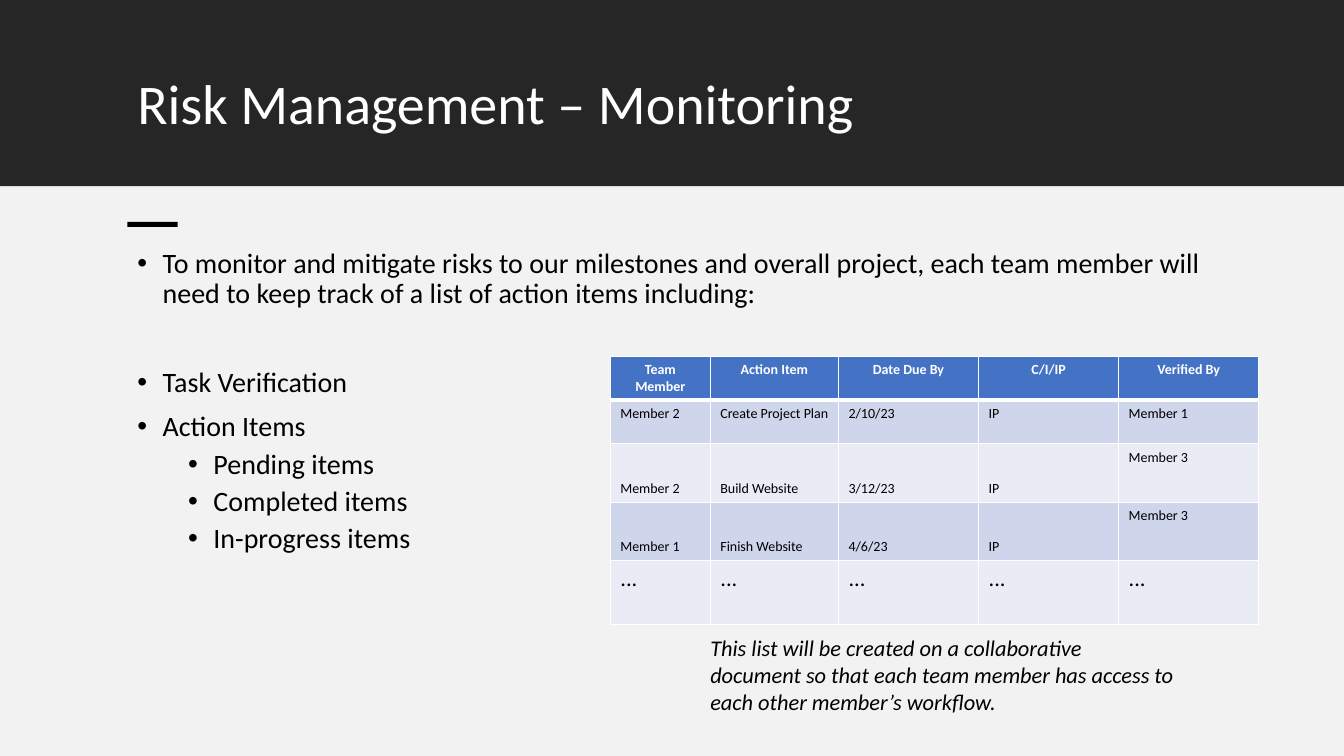
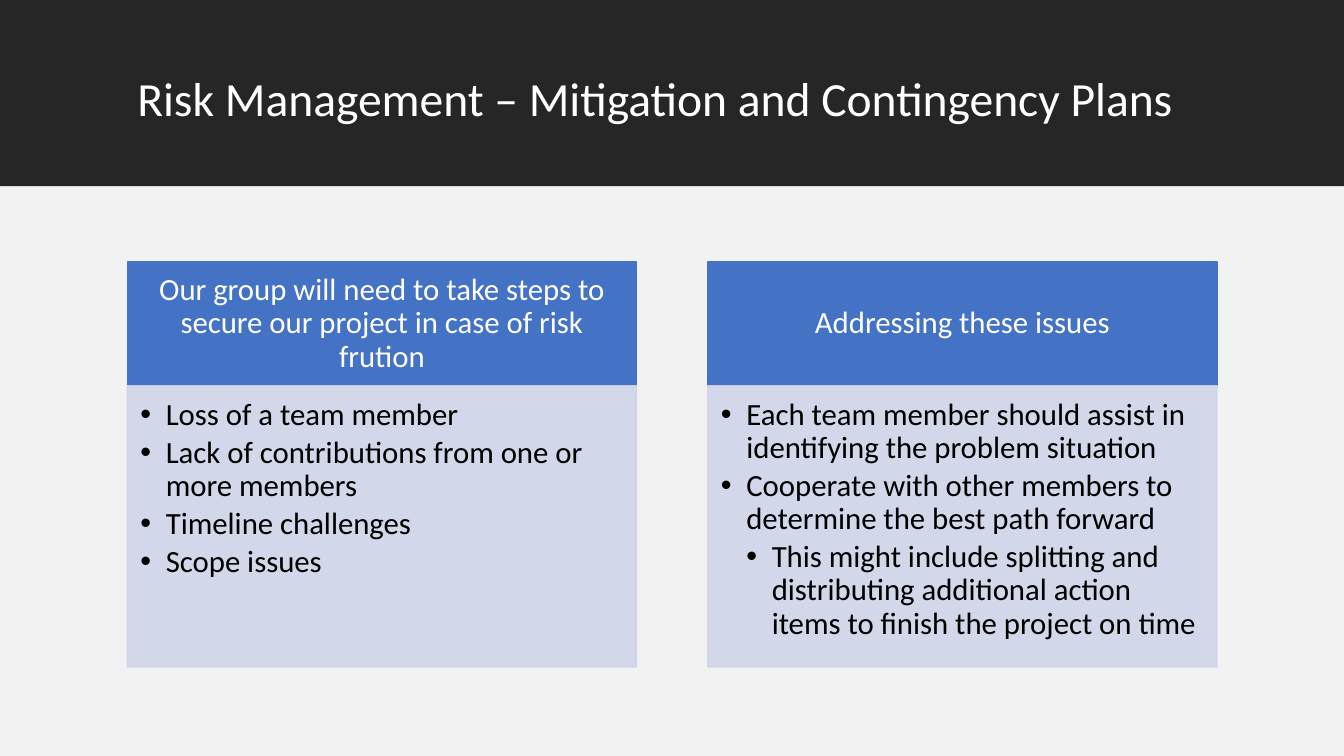
from lxml import etree
from pptx import Presentation
from pptx import util as u
from pptx.dml import color
from pptx.enum import shapes, text
from pptx.oxml import ns

FONT = "Calibri"
BLACK, WHITE = "000000", "FFFFFF"
BAND, PANEL = "262626", "F2F2F2"
BLUE, PALE, PALER = "4472C4", "CFD5EA", "E9EBF5"
WIDTH, HEIGHT, BAND_HEIGHT = 33.87, 19.05, 4.7
LEFT, CONTENT_WIDTH = 3.21, 27.46
INDENT = 0.64
LEFT_ALIGN, CENTER = text.PP_ALIGN.LEFT, text.PP_ALIGN.CENTER
TOP, MIDDLE, BOTTOM = (text.MSO_ANCHOR.TOP, text.MSO_ANCHOR.MIDDLE,
                       text.MSO_ANCHOR.BOTTOM)


def rgb(code):
    """Return the colour for a hex string."""
    return color.RGBColor.from_string(code)


def sub(parent, tag, **attributes):
    """Append a DrawingML element and return it."""
    return etree.SubElement(parent, ns.qn(tag), attributes)


def add_block(slide, box, fill, outlined=False, opacity=100):
    """Draw a flat rectangle, with an outline of its own colour if asked."""
    block = slide.shapes.add_shape(shapes.MSO_SHAPE.RECTANGLE, *map(u.Cm, box))
    block.shadow.inherit = False
    block.fill.solid()
    block.fill.fore_color.rgb = rgb(fill)
    if outlined:
        block.line.color.rgb = rgb(fill)
        block.line.width = u.Pt(1)
    else:
        block.line.fill.background()
    if opacity < 100:
        for tint in block._element.spPr.iter(ns.qn("a:srgbClr")):
            sub(tint, "a:alpha", val=str(opacity * 1000))
    return block


def set_frame(frame, insets=(0.25, 0.13, 0.25, 0.13), anchor=TOP):
    """Set wrapping, insets (left, top, right, bottom) and anchor."""
    frame.word_wrap = True
    frame.vertical_anchor = anchor
    (frame.margin_left, frame.margin_top,
     frame.margin_right, frame.margin_bottom) = map(u.Cm, insets)
    return frame


def add_text_area(slide, box):
    """Add a wrapping text box and return its frame."""
    return set_frame(slide.shapes.add_textbox(*map(u.Cm, box)).text_frame)


def add_line(frame, words, size, ink=BLACK, align=LEFT_ALIGN, spacing=0.9,
             before=0, after=0, bullet_at=None, bold=False, italic=False):
    """Add one paragraph, bulleted when bullet_at gives its text indent."""
    line = frame.paragraphs[0]
    if line.runs:
        line = frame.add_paragraph()
    line.alignment = align
    line.line_spacing = spacing
    line.space_before, line.space_after = u.Pt(before), u.Pt(after)
    if bullet_at is not None:
        properties = line._p.get_or_add_pPr()
        properties.set("marL", str(u.Cm(bullet_at)))
        properties.set("indent", str(-u.Cm(INDENT)))
        sub(properties, "a:buFont", typeface="Arial")
        sub(properties, "a:buChar", char="•")
    run = line.add_run()
    run.text = words
    run.font.name, run.font.size = FONT, u.Pt(size)
    run.font.bold, run.font.italic = bold, italic
    run.font.color.rgb = rgb(ink)


def add_page(deck, title, size):
    """Add a slide with the dark title band over the light panel."""
    slide = deck.slides.add_slide(deck.slide_layouts[6])
    add_block(slide, (0, 0, WIDTH, BAND_HEIGHT), BAND)
    add_block(slide, (0, BAND_HEIGHT, WIDTH, HEIGHT - BAND_HEIGHT), PANEL)
    heading = add_text_area(slide, (LEFT, 1.78, CONTENT_WIDTH, 2.49))
    add_line(heading, title, size, WHITE)
    return slide


def set_borders(cell, top, bottom):
    """Give a cell white borders, with top and bottom widths in points."""
    properties = cell._tc.get_or_add_tcPr()
    widths = {"a:lnL": 1, "a:lnR": 1, "a:lnT": top, "a:lnB": bottom}
    for place, (tag, width) in enumerate(widths.items()):
        edge = sub(properties, tag, w=str(u.Pt(width)))
        sub(sub(edge, "a:solidFill"), "a:srgbClr", val=WHITE)
        properties.insert(place, edge)


def add_action_table(slide, left, top, rows):
    """Draw the banded table of action items."""
    widths = (2.52, 3.23, 3.53, 3.53, 3.53)
    heights = (1.1, 1.1, 1.47, 1.47, 1.62)
    table = slide.shapes.add_table(
        len(rows), len(widths), u.Cm(left), u.Cm(top),
        u.Cm(sum(widths)), u.Cm(sum(heights))).table
    for column, width in zip(table.columns, widths):
        column.width = u.Cm(width)
    for r, (entries, height) in enumerate(zip(rows, heights)):
        table.rows[r].height = u.Cm(height)
        header = r == 0
        for c, entry in enumerate(entries):
            cell = table.cell(r, c)
            cell.fill.solid()
            cell.fill.fore_color.rgb = rgb(
                BLUE if header else PALE if r % 2 else PALER)
            set_borders(cell, 3 if r == 1 else 1, 3 if header else 1)
            cell.vertical_anchor = BOTTOM if r in (2, 3) and c < 4 else TOP
            add_line(cell.text_frame, entry, 16 if entry == "..." else 10,
                     WHITE if header else BLACK,
                     CENTER if header else LEFT_ALIGN, 1, bold=header)


def add_card(slide, left, top, heading, points):
    """Draw a headed card with (level, words) bullet points."""
    width, head_height, body_height = 12.83, 3.12, 7.09
    head = add_block(slide, (left, top, width, head_height), BLUE, True)
    add_line(set_frame(head.text_frame, (0.43, 0.25, 0.43, 0.25), MIDDLE),
             heading, 22, WHITE, CENTER)
    body = add_block(slide, (left, top + head_height, width, body_height),
                     PALE, True, 90)
    frame = set_frame(body.text_frame, (0.33, 0.33, 0.43, 0.48))
    for level, words in points:
        add_line(frame, words, 22, after=3.3, bullet_at=level * INDENT)


def build_monitoring(deck):
    """Build the slide on monitoring risks."""
    slide = add_page(deck, "Risk Management – Monitoring", 40)
    add_block(slide, (LEFT, 5.59, 1.27, 0.13), BLACK)
    body = add_text_area(slide, (LEFT, 6.15, CONTENT_WIDTH, 11))
    points = (
        (1, 0, "To monitor and mitigate risks to our milestones and overall "
               "project, each team member will need to keep track of a list "
               "of action items including:"),
        (1, 42, "Task Verification"),
        (1, 10, "Action Items"),
        (3, 5, "Pending items"),
        (3, 5, "Completed items"),
        (3, 5, "In-progress items"),
    )
    for level, before, words in points:
        add_line(body, words, 20, before=before, bullet_at=level * INDENT)
    add_action_table(slide, 15.38, 8.98, (
        ("Team Member", "Action Item", "Date Due By", "C/I/IP", "Verified By"),
        ("Member 2", "Create Project Plan", "2/10/23", "IP", "Member 1"),
        ("Member 2", "Build Website", "3/12/23", "IP", "Member 3"),
        ("Member 1", "Finish Website", "4/6/23", "IP", "Member 3"),
        ("...",) * 5,
    ))
    caption = add_text_area(slide, (17.65, 15.85, 12.2, 3.07))
    add_line(caption, "This list will be created on a collaborative document "
             "so that each team member has access to each other member’s "
             "workflow.", 16, spacing=1, italic=True)


def build_mitigation(deck):
    """Build the slide on mitigation and contingency plans."""
    slide = add_page(
        deck, "Risk Management – Mitigation and Contingency Plans", 34)
    cards = (
        ("Our group will need to take steps to secure our project in case of "
         "risk frution",
         ((1, "Loss of a team member"),
          (1, "Lack of contributions from one or more members"),
          (1, "Timeline challenges"),
          (1, "Scope issues"))),
        ("Addressing these issues",
         ((1, "Each team member should assist in identifying the problem "
              "situation"),
          (1, "Cooperate with other members to determine the best path "
              "forward"),
          (2, "This might include splitting and distributing additional "
              "action items to finish the project on time"))),
    )
    for place, (heading, points) in enumerate(cards):
        add_card(slide, LEFT + place * 14.63, 6.6, heading, points)


def main():
    """Build and save the deck."""
    deck = Presentation()
    deck.slide_width, deck.slide_height = u.Cm(WIDTH), u.Cm(HEIGHT)
    build_monitoring(deck)
    build_mitigation(deck)
    deck.save("out.pptx")


if __name__ == "__main__":
    main()
